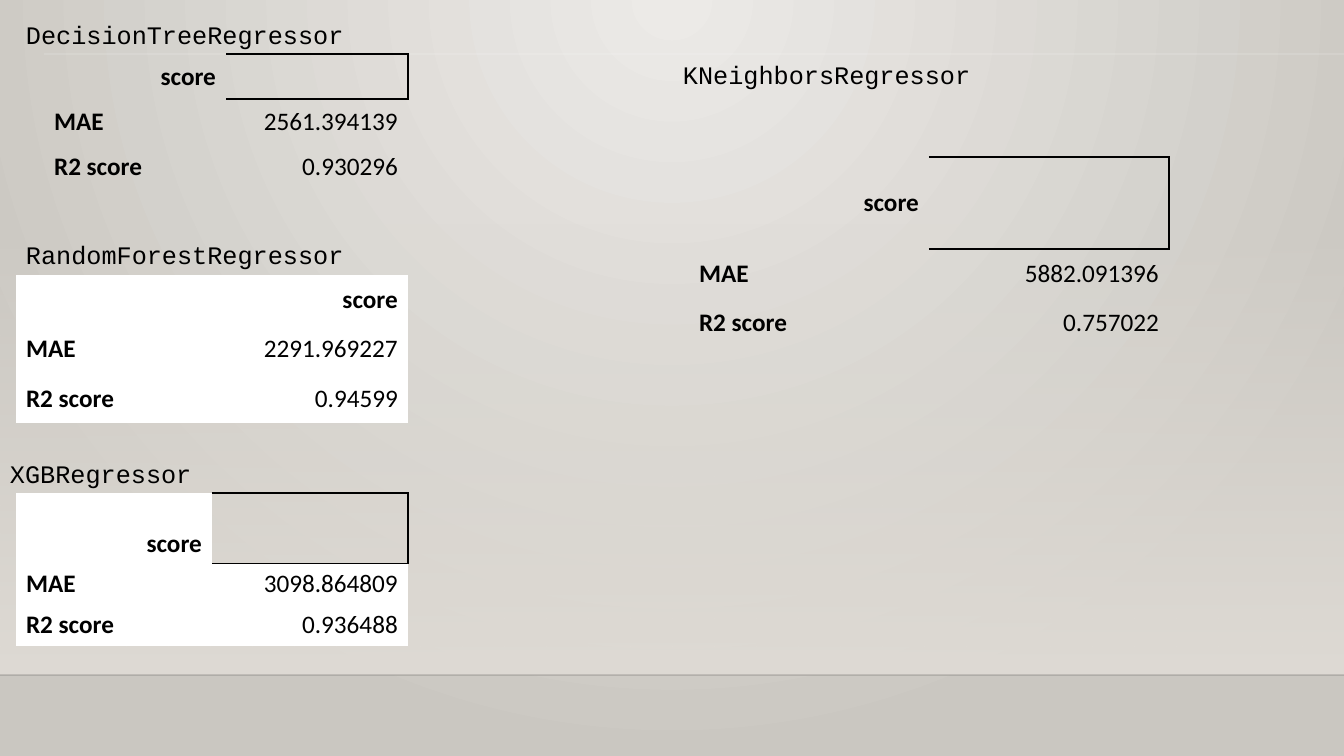
from dataclasses import dataclass

from lxml.etree import SubElement
from pptx import Presentation
from pptx.dml.color import RGBColor
from pptx.enum.shapes import MSO_CONNECTOR, MSO_SHAPE
from pptx.enum.text import MSO_ANCHOR, MSO_AUTO_SIZE, PP_ALIGN
from pptx.oxml.ns import qn
from pptx.util import Pt

EMU_PER_PX = 914400 / 100.8
SLIDE_WIDTH, SLIDE_HEIGHT = 1344, 756
FLOOR_TOP, FLOOR_LINE = 223, 675
PLAIN_TABLE_STYLE = "{2D5ABB26-0587-4C30-8999-92F81FD0307C}"


@dataclass(frozen=True)
class Theme:
    ink: str = "000000"
    white: str = "FFFFFF"
    glow: str = "ECEAE7"
    edge: str = "CAC7C1"
    wall: str = "DFDBD5"
    title_font: str = "Courier New"
    table_font: str = "Calibri"
    text_size: int = 18


THEME = Theme()

# title box, table left and top, column width, row heights, score values,
# then whether the table is white and whether its header leads with "score"
MODELS = [
    dict(title="DecisionTreeRegressor", title_box=(16, 14, 1087, 40),
         table_at=(44, 54), column=182, rows=(45, 45, 45),
         mae="2561.394139", r2="0.930296"),
    dict(title="RandomForestRegressor", title_box=(16, 234, 994, 40),
         table_at=(16, 275), column=196, rows=(49, 50, 49),
         mae="2291.969227", r2="0.94599", white=True, score_first=False),
    dict(title="XGBRegressor", title_box=(0, 453, 673, 40),
         table_at=(16, 493), column=196, rows=(70, 41, 41),
         mae="3098.864809", r2="0.936488", white=True, header="\vscore"),
    dict(title="KNeighborsRegressor", title_box=(673, 54, 530, 40),
         table_at=(689, 157), column=240, rows=(92, 49, 49),
         mae="5882.091396", r2="0.757022"),
]


def px(*lengths):
    return [round(length * EMU_PER_PX) for length in lengths]


def rgb(code):
    return RGBColor.from_string(code)


def set_alpha(color_element, percent):
    SubElement(color_element, qn("a:alpha"), val=str(percent * 1000))


def set_gradient(fill, first, last):
    fill.gradient()
    for stop, color, position in zip(fill.gradient_stops, (first, last), (0, 1)):
        stop.color.rgb = rgb(color)
        stop.position = position


def format_text(paragraph, **values):
    for run in paragraph.runs:
        run.font.color.rgb = rgb(THEME.ink)
        for name, value in {"size": Pt(THEME.text_size), **values}.items():
            setattr(run.font, name, value)


def draw_rectangle(slide, box):
    shape = slide.shapes.add_shape(MSO_SHAPE.RECTANGLE, *px(*box))
    shape.shadow.inherit = False
    shape.line.fill.background()
    return shape


def draw_backdrop(slide):
    """Radial glow, fading wall and the line where the floor begins."""
    set_gradient(slide.background.fill, THEME.glow, THEME.edge)
    gradient = next(slide.background._cSld.iter(qn("a:gradFill")))
    linear = gradient.find(qn("a:lin"))
    radial = SubElement(gradient, qn("a:path"), path="circle")
    SubElement(radial, qn("a:fillToRect"), l="43000", t="0", r="43000", b="100000")
    gradient.replace(linear, radial)

    wall = draw_rectangle(slide, (0, FLOOR_TOP, SLIDE_WIDTH, FLOOR_LINE - FLOOR_TOP))
    set_gradient(wall.fill, THEME.wall, THEME.wall)
    wall.fill.gradient_angle = 270
    set_alpha(next(wall._element.spPr.iter(qn("a:srgbClr"))), 0)

    line = slide.shapes.add_connector(
        MSO_CONNECTOR.STRAIGHT, *px(0, FLOOR_LINE, SLIDE_WIDTH, FLOOR_LINE))
    line.line.width = Pt(1)
    line.line.color.rgb = rgb(THEME.ink)
    set_alpha(next(line._element.spPr.iter(qn("a:srgbClr"))), 20)
    SubElement(line._element.spPr, qn("a:effectLst"))


def draw_hairline(slide, left, top):
    hairline = draw_rectangle(slide, (left, top, SLIDE_WIDTH - left, 0))
    hairline.fill.solid()
    hairline.fill.fore_color.rgb = rgb(THEME.white)


def draw_title(slide, text, box):
    frame = slide.shapes.add_textbox(*px(*box)).text_frame
    frame.word_wrap = True
    frame.auto_size = MSO_AUTO_SIZE.SHAPE_TO_FIT_TEXT
    frame.text = text
    format_text(frame.paragraphs[0], name=THEME.title_font)


def outline_open_left(cell):
    """Black border on the right, top and bottom of a cell."""
    properties = cell._tc.get_or_add_tcPr()
    for index, side in enumerate(("lnR", "lnT", "lnB")):
        border = SubElement(properties, qn(f"a:{side}"), w=str(Pt(1)))
        fill = SubElement(border, qn("a:solidFill"))
        SubElement(fill, qn("a:srgbClr"), val=THEME.ink)
        properties.insert(index, border)


def fill_cell(cell, text, bold, align, white):
    cell.vertical_anchor = MSO_ANCHOR.MIDDLE
    if white:
        cell.fill.solid()
        cell.fill.fore_color.rgb = rgb(THEME.white)
    else:
        cell.fill.background()
    paragraph = cell.text_frame.paragraphs[0]
    paragraph.text = text
    paragraph.alignment = align
    format_text(paragraph, name=THEME.table_font, bold=bold)


def draw_scores(slide, table_at, column, rows, mae, r2,
                white=False, score_first=True, header="score"):
    """Score table; a leading header leaves an outlined cell to its right."""
    frame = slide.shapes.add_table(3, 2, *px(*table_at, 2 * column, sum(rows)))
    table = frame.table
    table._tbl.tblPr.find(qn("a:tableStyleId")).text = PLAIN_TABLE_STYLE
    table.first_row = table.horz_banding = False
    for table_column in table.columns:
        table_column.width = px(column)[0]
    for row, height in zip(table.rows, rows):
        row.height = px(height)[0]

    heading = (header, "") if score_first else ("", header)
    content = [heading, ("MAE", mae), ("R2 score", r2)]
    for row_index, texts in enumerate(content):
        for column_index, text in enumerate(texts):
            is_header = row_index == 0
            outlined = is_header and score_first and column_index == 1
            right = is_header or column_index == 1
            cell = table.cell(row_index, column_index)
            fill_cell(cell, text, is_header or column_index == 0,
                      PP_ALIGN.RIGHT if right else PP_ALIGN.LEFT,
                      white and not outlined)
            if outlined:
                outline_open_left(cell)


def draw_model(slide, title, title_box, **scores):
    draw_title(slide, title, title_box)
    draw_scores(slide, **scores)


def main():
    presentation = Presentation()
    presentation.slide_width, presentation.slide_height = px(SLIDE_WIDTH, SLIDE_HEIGHT)
    slide = presentation.slides.add_slide(presentation.slide_layouts[6])
    draw_backdrop(slide)
    draw_hairline(slide, *MODELS[0]["table_at"])
    for model in MODELS:
        draw_model(slide, **model)
    presentation.save("out.pptx")


if __name__ == "__main__":
    main()
